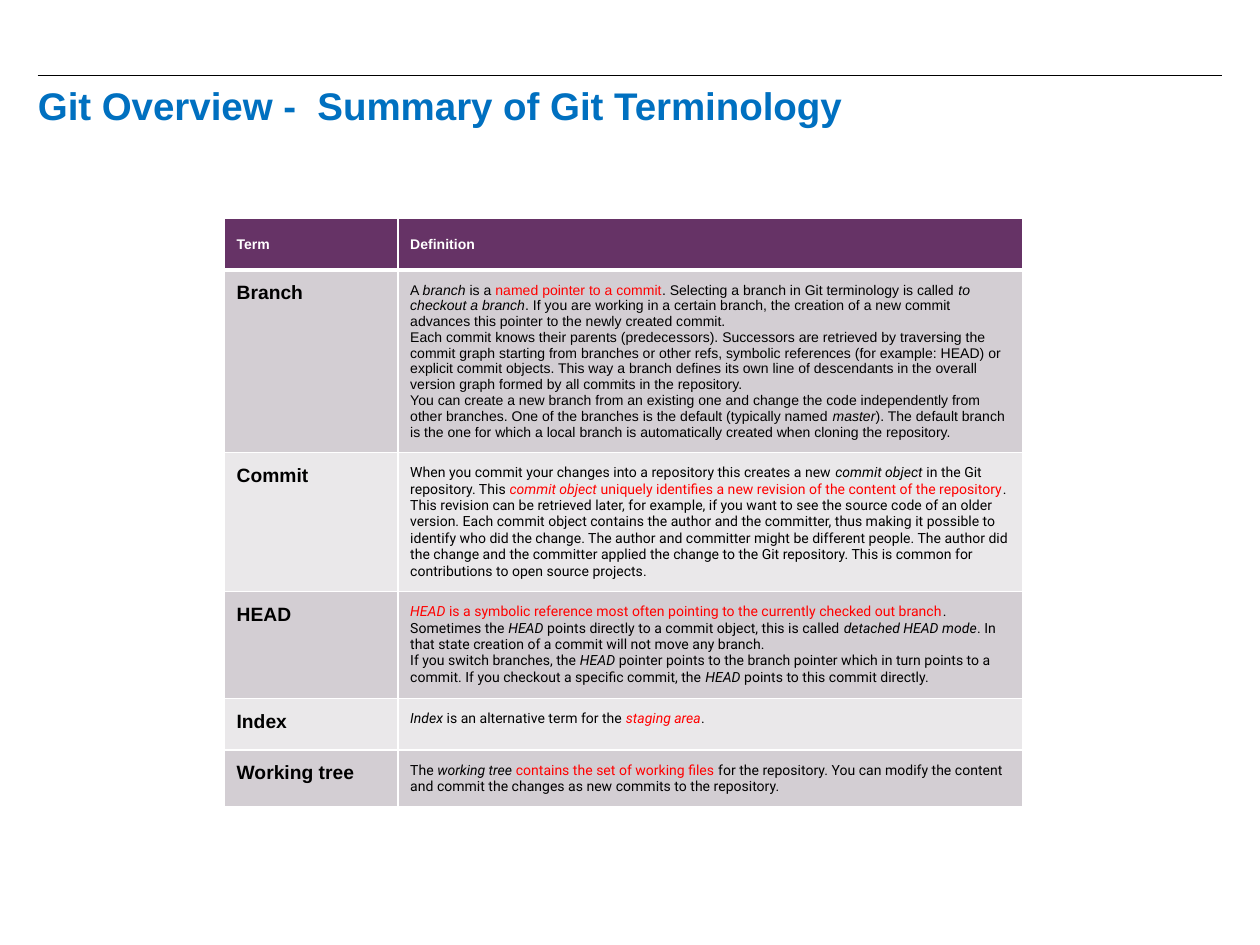
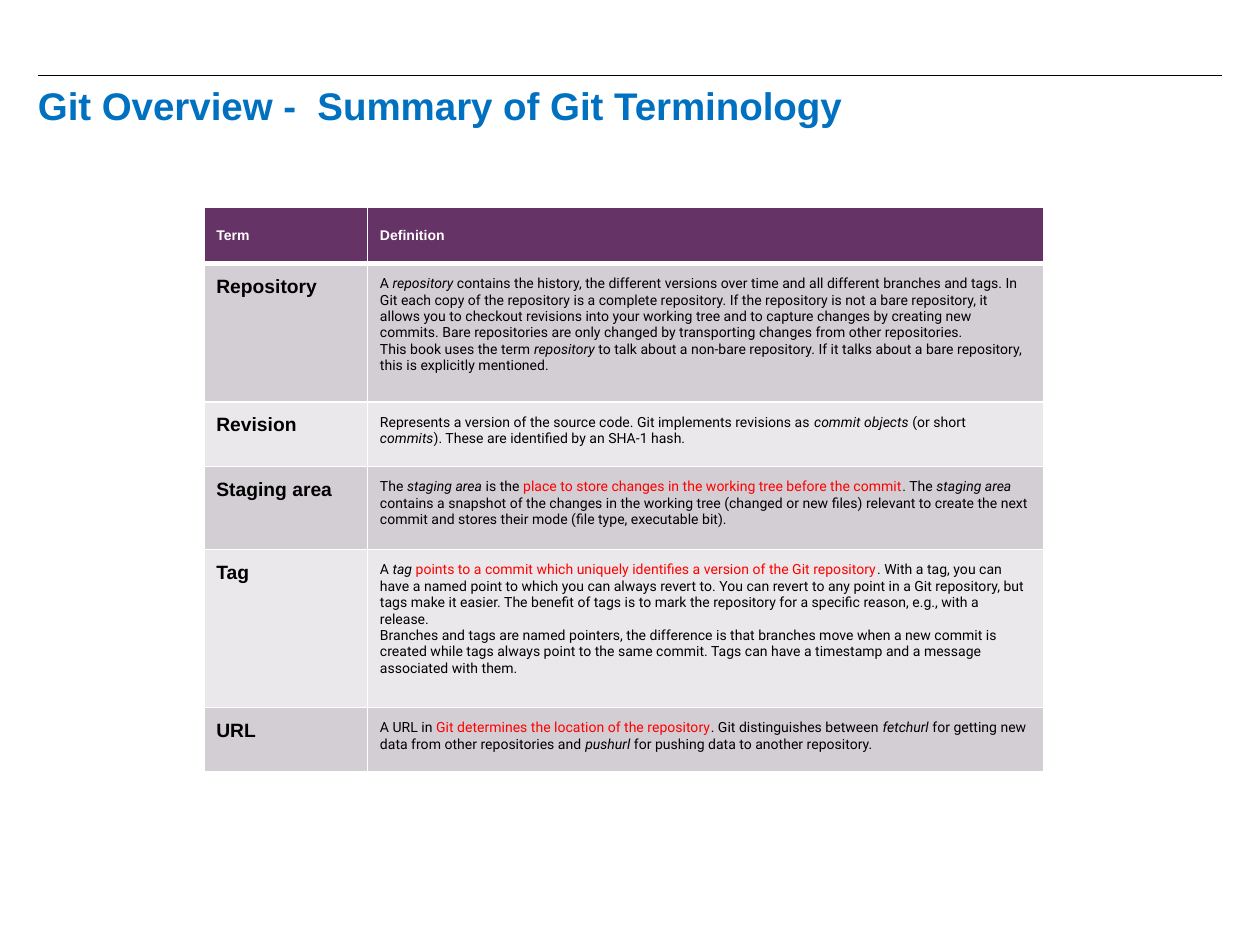
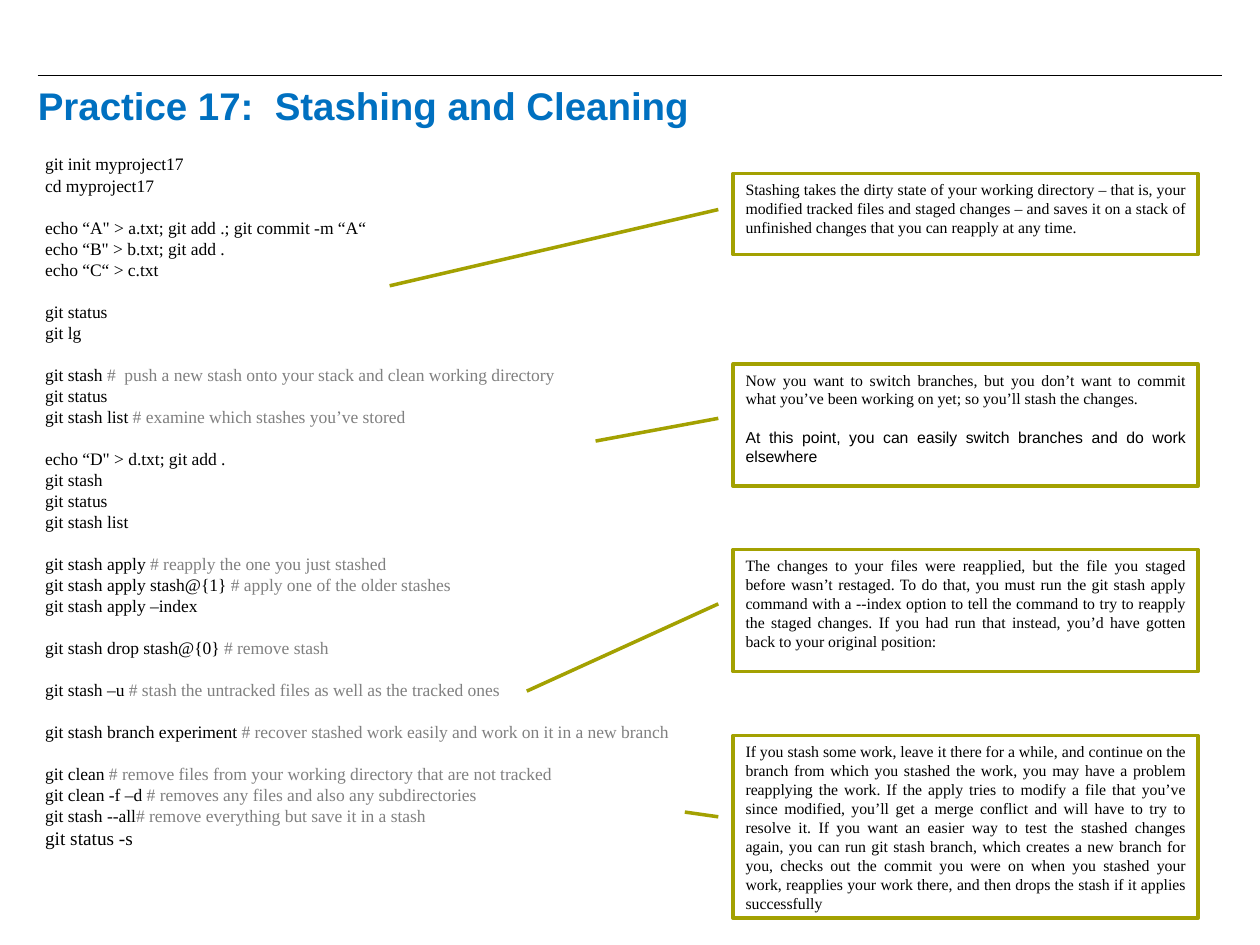
"""Build three Git training slides: two terminology tables and a stashing practice."""
from lxml import etree
from pptx import Presentation
from pptx import util as u
from pptx.dml.color import RGBColor
from pptx.enum import shapes, text
from pptx.oxml import ns

BLUE = RGBColor(0x00, 0x70, 0xC0)
PURPLE = RGBColor(0x66, 0x33, 0x66)
DARK_BAND = RGBColor(0xD3, 0xCE, 0xD3)
LIGHT_BAND = RGBColor(0xEA, 0xE8, 0xEA)
OLIVE = RGBColor(0xA3, 0xA1, 0x01)
RED = RGBColor(0xFF, 0x00, 0x00)
GRAY = RGBColor(0x80, 0x80, 0x80)
BLACK = RGBColor(0x00, 0x00, 0x00)
WHITE = RGBColor(0xFF, 0xFF, 0xFF)
SANS, WEB, SERIF = "Arial", "Roboto", "Times New Roman"
ITALIC_MARK, RED_MARK = "*", "^"

TERMINOLOGY = "Git Overview -  Summary of Git Terminology"

FIRST_TERMS = [
    ("Branch", SANS, [
        "A *branch* is a ^named pointer to a commit^. Selecting a branch in Git terminology is called "
        "*to checkout a branch*. If you are working in a certain branch, the creation of a new commit "
        "advances this pointer to the newly created commit.",
        "Each commit knows their parents (predecessors). Successors are retrieved by traversing the "
        "commit graph starting from branches or other refs, symbolic references (for example: HEAD) or "
        "explicit commit objects. This way a branch defines its own line of descendants in the overall "
        "version graph formed by all commits in the repository.",
        "You can create a new branch from an existing one and change the code independently from other "
        "branches. One of the branches is the default (typically named *master*). The default branch is "
        "the one for which a local branch is automatically created when cloning the repository."]),
    ("Commit", WEB, [
        "When you commit your changes into a repository this creates a new *commit object* in the Git "
        "repository. This ^*commit object* uniquely identifies a new revision of the content of the "
        "repository^.",
        "This revision can be retrieved later, for example, if you want to see the source code of an "
        "older version. Each commit object contains the author and the committer, thus making it "
        "possible to identify who did the change. The author and committer might be different people. "
        "The author did the change and the committer applied the change to the Git repository. This is "
        "common for contributions to open source projects."]),
    ("HEAD", WEB, [
        "^*HEAD* is a symbolic reference most often pointing to the currently checked out branch^.",
        "Sometimes the *HEAD* points directly to a commit object, this is called *detached HEAD mode*. "
        "In that state creation of a commit will not move any branch.",
        "If you switch branches, the *HEAD* pointer points to the branch pointer which in turn points "
        "to a commit. If you checkout a specific commit, the *HEAD* points to this commit directly."]),
    ("Index", WEB, ["*Index* is an alternative term for the ^*staging area*^."]),
    ("Working tree", WEB, [
        "The *working tree*^ contains the set of working files ^for the repository. You can modify the "
        "content and commit the changes as new commits to the repository."]),
]
SECOND_TERMS = [
    ("Repository", WEB, [
        "A *repository* contains the history, the different versions over time and all different "
        "branches and tags. In Git each copy of the repository is a complete repository. If the "
        "repository is not a bare repository, it allows you to checkout revisions into your working "
        "tree and to capture changes by creating new commits. Bare repositories are only changed by "
        "transporting changes from other repositories.",
        "This book uses the term *repository* to talk about a non-bare repository. If it talks about a "
        "bare repository, this is explicitly mentioned."]),
    ("Revision", WEB, [
        "Represents a version of the source code. Git implements revisions as *commit objects* (or "
        "short *commits*). These are identified by an SHA-1 hash."]),
    ("Staging area", WEB, [
        "The *staging area* is the ^place to store changes in the working tree before the commit^. "
        "The *staging area* contains a snapshot of the changes in the working tree (changed or new "
        "files) relevant to create the next commit and stores their mode (file type, executable bit)."]),
    ("Tag", WEB, [
        "A *tag *^points to a commit which uniquely identifies a version of the Git repository^. With a "
        "tag, you can have a named point to which you can always revert to. You can revert to any point "
        "in a Git repository, but tags make it easier. The benefit of tags is to mark the repository "
        "for a specific reason, e.g., with a release.",
        "Branches and tags are named pointers, the difference is that branches move when a new commit "
        "is created while tags always point to the same commit. Tags can have a timestamp and a message "
        "associated with them."]),
    ("URL", WEB, [
        "A URL in ^Git determines the location of the repository^. Git distinguishes between *fetchurl* "
        "for getting new data from other repositories and *pushurl* for pushing data to another "
        "repository."]),
]
GLOSSARIES = [
    (FIRST_TERMS, 4.52, 4.4, (3.5, 12.6), (1.04, 3.68, 2.79, 2.16, 1.04, 1.14)),
    (SECOND_TERMS, 4.11, 4.17, (3.3, 13.64), (1.14, 2.79, 1.3, 1.68, 3.18, 1.3)),
]

COMMAND_GROUPS = [
    ["git init myproject17",
     "cd myproject17"],
    ["echo “A\" > a.txt; git add .; git commit -m “A“",
     "echo “B\" > b.txt; git add .",
     "echo “C“ > c.txt"],
    ["git status",
     "git lg"],
    ["git stash #  push a new stash onto your stack and clean working directory",
     "git status",
     "git stash list # examine which stashes you’ve stored"],
    ["echo “D\" > d.txt; git add .",
     "git stash",
     "git status",
     "git stash list"],
    ["git stash apply # reapply the one you just stashed",
     "git stash apply stash@{1} # apply one of the older stashes",
     "git stash apply –index"],
    ["git stash drop stash@{0} # remove stash"],
    ["git stash –u # stash the untracked files as well as the tracked ones"],
    ["git stash branch experiment # recover stashed work easily and work on it in a new branch"],
    ["git clean # remove files from your working directory that are not tracked",
     "git clean -f –d # removes any files and also any subdirectories",
     "git stash --all# remove everything but save it in a stash",
     "git status -s"],
]

CALLOUTS = [
    (3.5, 1.63, (1.388, -0.739), [
        ("Stashing takes the dirty state of your working directory – that is, your modified tracked "
         "files and staged changes – and saves it on a stack of unfinished changes that you can reapply "
         "at any time.", SERIF)]),
    (7.34, 2.46, (0.631, -0.296), [
        ("Now you want to switch branches, but you don’t want to commit what you’ve been working on "
         "yet; so you’ll stash the changes.", SERIF),
        ("At this point, you can easily switch branches and do work elsewhere", SANS)]),
    (11.08, 2.46, (1.16, -0.444), [
        ("The changes to your files were reapplied, but the file you staged before wasn’t restaged. To "
         "do that, you must run the git stash apply command with a --index option to tell the command "
         "to try to reapply the staged changes. If you had run that instead, you’d have gotten back to "
         "your original position:", SERIF)]),
    (14.83, 3.68, (0.419, -0.104), [
        ("If you stash some work, leave it there for a while, and continue on the branch from which you "
         "stashed the work, you may have a problem reapplying the work. If the apply tries to modify a "
         "file that you’ve since modified, you’ll get a merge conflict and will have to try to resolve "
         "it. If you want an easier way to test the stashed changes again, you can run git stash "
         "branch, which creates a new branch for you, checks out the commit you were on when you "
         "stashed your work, reapplies your work there, and then drops the stash if it applies "
         "successfully", SERIF)]),
]


def style_paragraph(paragraph, name, size, color, bold=False):
    paragraph.font.name = name
    paragraph.font.size = u.Pt(size)
    paragraph.font.color.rgb = color
    paragraph.font.bold = bold


def style_cell(cell, fill, top, bottom):
    cell.margin_left = cell.margin_right = cell.margin_top = u.Cm(0.25)
    cell.margin_bottom = u.Cm(0.24)
    properties = cell._tc.get_or_add_tcPr()
    for side, points in (("L", 1), ("R", 1), ("T", top), ("B", bottom)):
        border = etree.SubElement(properties, ns.qn(f"a:ln{side}"), w=str(u.Pt(points)))
        solid = etree.SubElement(border, ns.qn("a:solidFill"))
        etree.SubElement(solid, ns.qn("a:srgbClr"), val=str(WHITE))
    cell.fill.solid()
    cell.fill.fore_color.rgb = fill


presentation = Presentation()
presentation.slide_width, presentation.slide_height = u.Cm(25.4), u.Cm(19.05)
layout = presentation.slide_layouts[5]
layout_title = layout.placeholders[0]
layout_title.left, layout_title.top = u.Cm(0.51), u.Cm(1.65)
layout_title.width, layout_title.height = u.Cm(24.13), u.Cm(1.04)

for heading in (TERMINOLOGY, TERMINOLOGY, "Practice 17:  Stashing and Cleaning"):
    slide = presentation.slides.add_slide(layout)
    frame = slide.shapes.title.text_frame
    frame.text = heading
    frame.auto_size = text.MSO_AUTO_SIZE.NONE
    frame.vertical_anchor = text.MSO_ANCHOR.MIDDLE
    paragraph = frame.paragraphs[0]
    paragraph.alignment = text.PP_ALIGN.LEFT
    paragraph.line_spacing = 0.9
    style_paragraph(paragraph, SANS, 22, BLUE, True)

rule = slide.shapes.add_connector(
    shapes.MSO_CONNECTOR.STRAIGHT, u.Cm(0.76), u.Cm(1.52), u.Cm(24.64), u.Cm(1.52))
rule.line.color.rgb = BLACK
rule.line.width = u.Pt(0.75)
etree.SubElement(rule.element.spPr, ns.qn("a:effectLst"))
layout.shapes.element.append(rule.element)

for slide, (terms, left, top, widths, heights) in zip(presentation.slides, GLOSSARIES):
    table = slide.shapes.add_table(
        len(heights), 2, u.Cm(left), u.Cm(top), u.Cm(sum(widths)), u.Cm(sum(heights))).table
    for column, width in zip(table.columns, widths):
        column.width = u.Cm(width)
    for row, height in zip(table.rows, heights):
        row.height = u.Cm(height)
    for cell, label in zip(table.rows[0].cells, ("Term", "Definition")):
        style_cell(cell, PURPLE, 1, 3)
        cell.vertical_anchor = text.MSO_ANCHOR.MIDDLE
        cell.text = label
        style_paragraph(cell.text_frame.paragraphs[0], SANS, 8, WHITE, True)
    for number, (term, font_name, definitions) in enumerate(terms, 1):
        term_cell, definition_cell = table.rows[number].cells
        for cell in (term_cell, definition_cell):
            style_cell(cell, DARK_BAND if number % 2 else LIGHT_BAND, 3 if number == 1 else 1, 1)
        term_cell.text = term
        style_paragraph(term_cell.text_frame.paragraphs[0], SANS, 11, BLACK, True)
        frame = definition_cell.text_frame
        for index, definition in enumerate(definitions):
            paragraph = frame.add_paragraph() if index else frame.paragraphs[0]
            style_paragraph(paragraph, font_name, 8, BLACK)
            for red, part in enumerate(definition.split(RED_MARK)):
                for italic, piece in enumerate(part.split(ITALIC_MARK)):
                    if piece:
                        run = paragraph.add_run()
                        run.text = piece
                        if italic % 2:
                            run.font.italic = True
                        if red % 2:
                            run.font.color.rgb = RED

practice = presentation.slides[2]
command_box = practice.shapes.add_textbox(u.Cm(0.66), u.Cm(2.97), u.Cm(13.34), u.Cm(14.35))
command_box.fill.solid()
command_box.fill.fore_color.rgb = WHITE
frame = command_box.text_frame
frame.word_wrap = True
for group_number, group in enumerate(COMMAND_GROUPS):
    for line_number, line in enumerate(group):
        first = group_number == line_number == 0
        paragraph = frame.paragraphs[0] if first else frame.add_paragraph()
        if group_number and line_number == 0:
            paragraph.space_before = u.Pt(12)
        style_paragraph(paragraph, SERIF, 11 if line == "git status -s" else 10, BLACK)
        command, mark, remark = line.partition("#")
        paragraph.add_run().text = command
        if mark:
            run = paragraph.add_run()
            run.text = mark + remark
            run.font.color.rgb = GRAY

for top, height, pointer, notes in CALLOUTS:
    callout = practice.shapes.add_shape(
        shapes.MSO_SHAPE.LINE_CALLOUT_1, u.Cm(14.78), u.Cm(top), u.Cm(9.37), u.Cm(height))
    for index, value in enumerate((0.445, -0.032, *pointer)):
        callout.adjustments[index] = value
    callout.shadow.inherit = False
    callout.fill.solid()
    callout.fill.fore_color.rgb = WHITE
    callout.line.color.rgb = OLIVE
    callout.line.width = u.Pt(2)
    frame = callout.text_frame
    frame.word_wrap = True
    frame.vertical_anchor = text.MSO_ANCHOR.TOP
    for index, (note, font_name) in enumerate(notes):
        paragraph = frame.add_paragraph() if index else frame.paragraphs[0]
        paragraph.alignment = text.PP_ALIGN.JUSTIFY
        if index:
            paragraph.space_before = u.Pt(11)
        style_paragraph(paragraph, font_name, 9, BLACK)
        paragraph.add_run().text = note

presentation.save("out.pptx")
